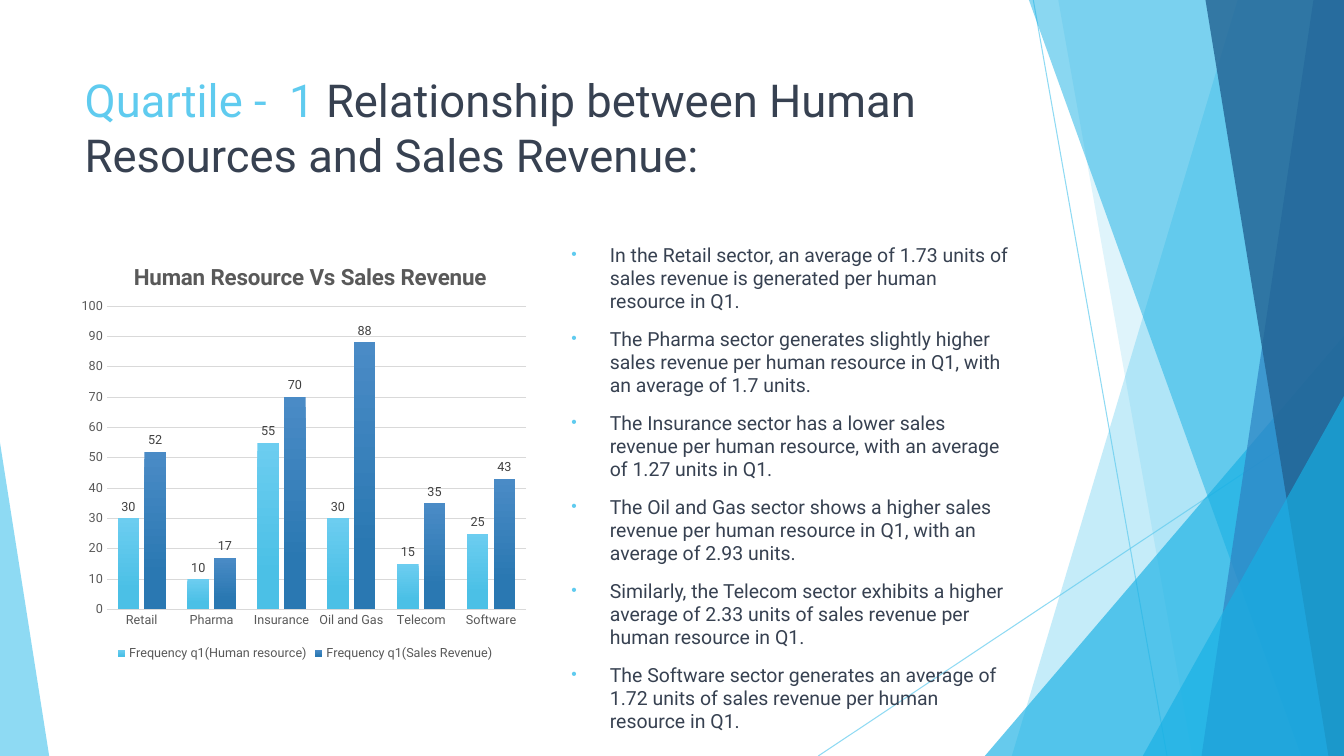
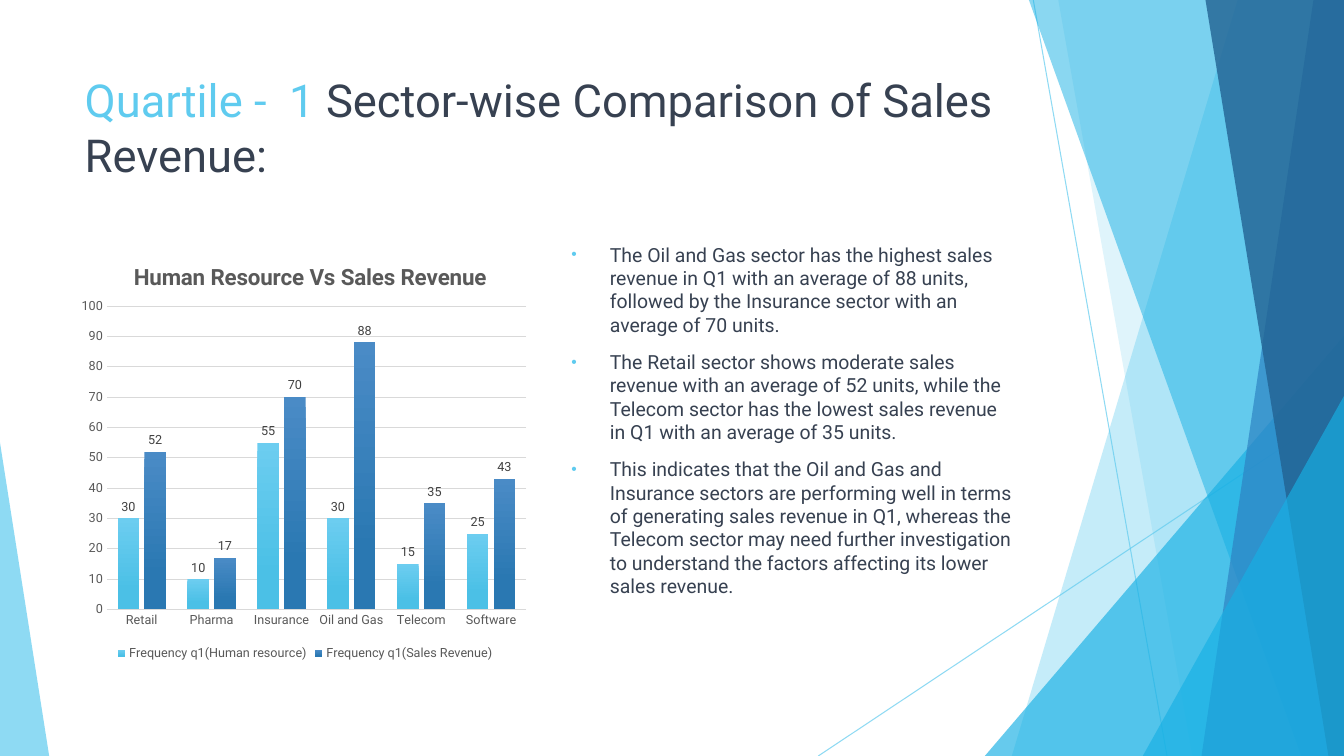
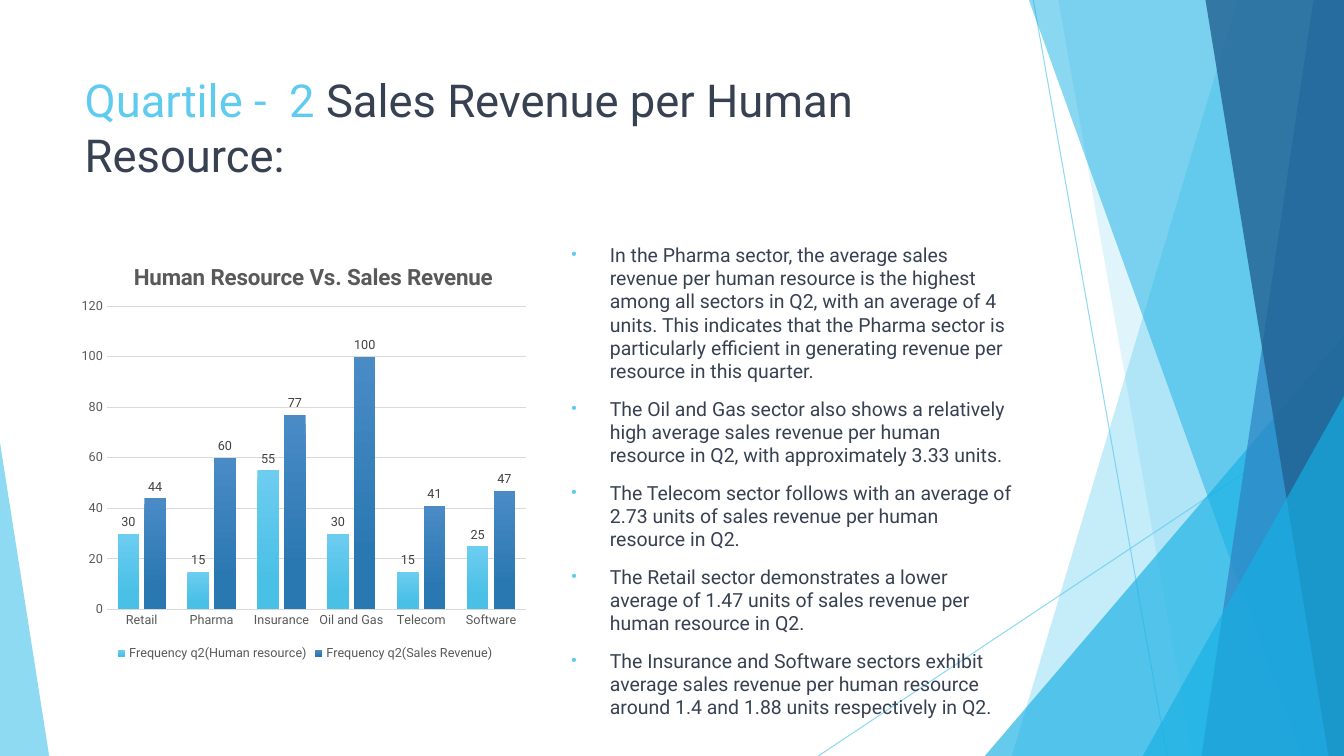
from dataclasses import dataclass
from pptx import Presentation
from pptx.chart.data import CategoryChartData
from pptx.dml.color import RGBColor
from pptx.enum.chart import XL_CHART_TYPE, XL_LABEL_POSITION, XL_LEGEND_POSITION, XL_TICK_MARK
from pptx.enum.shapes import MSO_CONNECTOR, MSO_SHAPE
from pptx.enum.text import MSO_ANCHOR, MSO_AUTO_SIZE, PP_ALIGN
from pptx.oxml import parse_xml
from pptx.oxml.ns import nsdecls, qn
from pptx.util import Cm, Pt


@dataclass(frozen=True)
class Theme:
    font: str = "Roboto"
    sky: str = "5FCBEF"
    cyan: str = "17B0E4"
    blue: str = "2E83C3"
    navy: str = "226292"
    ink: str = "374151"
    axis_text: str = "595959"
    label_text: str = "404040"
    grid: str = "D9D9D9"
    gradients: tuple = (("6CCDF0", "4BC0E6"), ("4A8BC6", "2A78B2"))
    title: float = 32.4
    body: float = 13.9
    chart_title: float = 16
    chart_text: float = 9


T = Theme()
SLIDE_W, SLIDE_H = 33.87, 19.05
TITLE_BOX = (1.88, 1.7, 23.88, 3.66)
CHART_BOX = (1.88, 5.99, 11.61, 10.77)
BODY_BOX = (14.15, 5.99, 11.63, 10.77)
SECTORS = ["Retail", "Pharma", "Insurance", "Oil and Gas", "Telecom", "Software"]


def put(obj, **values):
    for name, value in values.items():
        setattr(obj, name, value)


def style(font, size, color, bold=False):
    put(font, name=T.font, size=Pt(size), bold=bold)
    font.color.rgb = RGBColor.from_string(color)


def place(sp, box):
    put(sp, **dict(zip(("left", "top", "width", "height"), map(Cm, box))))


def set_alpha(sp, percent):
    for clr in sp.element.iter(qn("a:srgbClr")):
        clr.append(parse_xml(f'<a:alpha {nsdecls("a")} val="{percent * 1000}"/>'))


def paint(sp, color, alpha):
    sp.shadow.inherit = False
    sp.fill.solid()
    sp.fill.fore_color.rgb = RGBColor.from_string(color)
    sp.line.fill.background()
    set_alpha(sp, alpha)


def add_ray(shapes, start, end):
    cx = shapes.add_connector(MSO_CONNECTOR.STRAIGHT, *map(Cm, start + end))
    cx.line.color.rgb = RGBColor.from_string(T.sky)
    cx.line.width = Pt(0.75)
    set_alpha(cx, 70)
    cx.element.find(qn("p:spPr")).append(parse_xml(f'<a:effectLst {nsdecls("a")}/>'))


def add_shard(shapes, box, top_x, bottom_x, color, alpha):
    w, h = box
    builder = shapes.build_freeform(Cm(top_x), 0)
    corners = [(w, 0), (w, h), (bottom_x, h)]
    builder.add_line_segments([(Cm(x), Cm(y)) for x, y in corners], close=True)
    paint(builder.convert_to_shape(), color, alpha)


def add_peak(shapes, box, left, width, height, apex, color, alpha):
    sp = shapes.add_shape(MSO_SHAPE.ISOSCELES_TRIANGLE, Cm(left), Cm(box[1] - height),
                          Cm(width), Cm(height))
    sp.adjustments[0] = apex
    paint(sp, color, alpha)


def add_facets(s, layout, box):
    w, h = box
    group = s.shapes.add_group_shape()
    shapes = group.shapes
    add_ray(shapes, (26.04, 0), (29.41, h))
    add_ray(shapes, (w, 10.24), (20.62, h))
    add_shard(shapes, box, 31.19, 25.5, T.sky, 36)
    add_shard(shapes, box, 26.67, 30.05, T.sky, 20)
    add_peak(shapes, box, 24.82, 9.05, 10.59, 1, T.cyan, 66)
    add_shard(shapes, box, 25.93, 32.79, T.cyan, 50)
    add_shard(shapes, box, 33.1, 30.28, T.blue, 70)
    add_shard(shapes, box, 30.38, 33.48, T.navy, 80)
    add_peak(shapes, box, 28.8, 5.07, 9.07, 1, T.cyan, 66)
    add_peak(shapes, box, 0, 1.24, 7.9, 0, T.sky, 70)
    layout.shapes.element.insert(2, group.element)


def add_title(s, box, quartile, text):
    sp = s.shapes.title
    place(sp, box)
    tf = sp.text_frame
    put(tf, word_wrap=True, vertical_anchor=MSO_ANCHOR.TOP, auto_size=MSO_AUTO_SIZE.NONE)
    p = tf.paragraphs[0]
    p.alignment = PP_ALIGN.LEFT
    for words, color in ((f"Quartile -  {quartile} ", T.sky), (text, T.ink)):
        r = p.add_run()
        r.text = words
        style(r.font, T.title, color)


def add_bullets(s, box, points):
    tf = s.shapes.add_textbox(*map(Cm, box)).text_frame
    put(tf, word_wrap=True, vertical_anchor=MSO_ANCHOR.TOP, auto_size=MSO_AUTO_SIZE.NONE)
    for i, point in enumerate(points):
        p = tf.add_paragraph() if i else tf.paragraphs[0]
        p.space_before = Pt(10)
        r = p.add_run()
        r.text = point
        style(r.font, T.body, T.ink)
        pPr = p._p.get_or_add_pPr()
        pPr.set("marL", str(Cm(0.97)))
        pPr.set("indent", str(-Cm(0.97)))
        for tag in (f'buClr {nsdecls("a")}><a:srgbClr val="{T.sky}"/></a:buClr',
                    f'buSzPct {nsdecls("a")} val="80000"/',
                    f'buFont {nsdecls("a")} typeface="Arial"/',
                    f'buChar {nsdecls("a")} char="•"/'):
            pPr.append(parse_xml(f"<a:{tag}>"))


def set_layout(parent, index, inner=False, **fractions):
    for old in parent.findall(qn("c:layout")):
        parent.remove(old)
    target = '<c:layoutTarget val="inner"/>' if inner else ""
    modes = '<c:xMode val="edge"/><c:yMode val="edge"/>'
    sizes = "".join(f'<c:{k} val="{v}"/>' for k, v in fractions.items())
    parent.insert(index, parse_xml(
        f'<c:layout {nsdecls("c")}><c:manualLayout>{target}{modes}{sizes}'
        "</c:manualLayout></c:layout>"))


def format_axes(chart, top, step):
    cat, val = chart.category_axis, chart.value_axis
    for axis in (cat, val):
        put(axis, major_tick_mark=XL_TICK_MARK.NONE, minor_tick_mark=XL_TICK_MARK.NONE)
        style(axis.tick_labels.font, T.chart_text, T.axis_text)
    put(val, minimum_scale=0, maximum_scale=top, major_unit=step, has_major_gridlines=True)
    val.format.line.fill.background()
    for line, width in ((cat.format.line, 1), (val.major_gridlines.format.line, 0.75)):
        line.color.rgb = RGBColor.from_string(T.grid)
        line.width = Pt(width)


def format_series(plot):
    put(plot, gap_width=100, overlap=-24, vary_by_categories=False)
    for series, colors in zip(plot.series, T.gradients):
        fill = series.format.fill
        fill.gradient()
        fill.gradient_angle = 270
        for stop, color, position in zip(fill.gradient_stops, colors, (0, 0.78)):
            stop.color.rgb = RGBColor.from_string(color)
            stop.position = position
        labels = series.data_labels
        put(labels, show_value=True, position=XL_LABEL_POSITION.OUTSIDE_END)
        style(labels.font, T.chart_text, T.label_text)


def add_columns(s, box, title, quarter, staff, sales, top, step):
    data = CategoryChartData()
    data.categories = SECTORS
    for measure, values in (("Human resource", staff), ("Sales Revenue", sales)):
        data.add_series(f"Frequency {quarter}({measure})", values)
    chart = s.shapes.add_chart(XL_CHART_TYPE.COLUMN_CLUSTERED, *map(Cm, box), data).chart
    style(chart.font, 10, "000000")
    put(chart, has_title=True, has_legend=True)
    tf = chart.chart_title.text_frame
    tf.text = title
    style(tf.paragraphs[0].runs[0].font, T.chart_title, T.axis_text, bold=True)
    put(chart.legend, position=XL_LEGEND_POSITION.BOTTOM, include_in_layout=False)
    style(chart.legend.font, T.chart_text, T.axis_text)
    format_axes(chart, top, step)
    format_series(chart.plots[0])
    body = chart._chartSpace.chart
    set_layout(body.find(qn("c:title")), 1, x=0.12, y=0.05)
    set_layout(body.plotArea, 0, inner=True, x=0.07, y=0.16, w=0.91, h=0.71)


Q1_CHART = dict(title="Human Resource Vs Sales Revenue", quarter="q1", top=100, step=10,
                staff=(30, 10, 55, 30, 15, 25), sales=(52, 17, 70, 88, 35, 43))
Q2_CHART = dict(title="Human Resource Vs. Sales Revenue", quarter="q2", top=120, step=20,
                staff=(30, 15, 55, 30, 15, 25), sales=(44, 60, 77, 100, 41, 47))

SLIDES = [
    (1, "Relationship between Human Resources and Sales Revenue:", Q1_CHART, [
        "In the Retail sector, an average of 1.73 units of sales revenue is generated per "
        "human resource in Q1.",
        "The Pharma sector generates slightly higher sales revenue per human resource in Q1, "
        "with an average of 1.7 units.",
        "The Insurance sector has a lower sales revenue per human resource, with an average "
        "of 1.27 units in Q1.",
        "The Oil and Gas sector shows a higher sales revenue per human resource in Q1, with "
        "an average of 2.93 units.",
        "Similarly, the Telecom sector exhibits a higher average of 2.33 units of sales "
        "revenue per human resource in Q1.",
        "The Software sector generates an average of 1.72 units of sales revenue per human "
        "resource in Q1.",
    ]),
    (1, "Sector-wise Comparison of Sales Revenue:", Q1_CHART, [
        "The Oil and Gas sector has the highest sales revenue in Q1 with an average of 88 "
        "units, followed by the Insurance sector with an average of 70 units.",
        "The Retail sector shows moderate sales revenue with an average of 52 units, while "
        "the Telecom sector has the lowest sales revenue in Q1 with an average of 35 units.",
        "This indicates that the Oil and Gas and Insurance sectors are performing well in "
        "terms of generating sales revenue in Q1, whereas the Telecom sector may need further "
        "investigation to understand the factors affecting its lower sales revenue.",
    ]),
    (2, "Sales Revenue per Human Resource:", Q2_CHART, [
        "In the Pharma sector, the average sales revenue per human resource is the highest "
        "among all sectors in Q2, with an average of 4 units. This indicates that the Pharma "
        "sector is particularly efficient in generating revenue per resource in this quarter.",
        "The Oil and Gas sector also shows a relatively high average sales revenue per human "
        "resource in Q2, with approximately 3.33 units.",
        "The Telecom sector follows with an average of 2.73 units of sales revenue per human "
        "resource in Q2.",
        "The Retail sector demonstrates a lower average of 1.47 units of sales revenue per "
        "human resource in Q2.",
        "The Insurance and Software sectors exhibit average sales revenue per human resource "
        "around 1.4 and 1.88 units respectively in Q2.",
    ]),
]

prs = Presentation()
put(prs, slide_width=Cm(SLIDE_W), slide_height=Cm(SLIDE_H))
layout = prs.slide_layouts.get_by_name("Title Only")
for i, (quartile, heading, chart_values, points) in enumerate(SLIDES):
    s = prs.slides.add_slide(layout)
    if i == 0:
        add_facets(s, layout, (SLIDE_W, SLIDE_H))
    add_title(s, TITLE_BOX, quartile, heading)
    add_columns(s, CHART_BOX, **chart_values)
    add_bullets(s, BODY_BOX, points)
prs.save("out.pptx")
